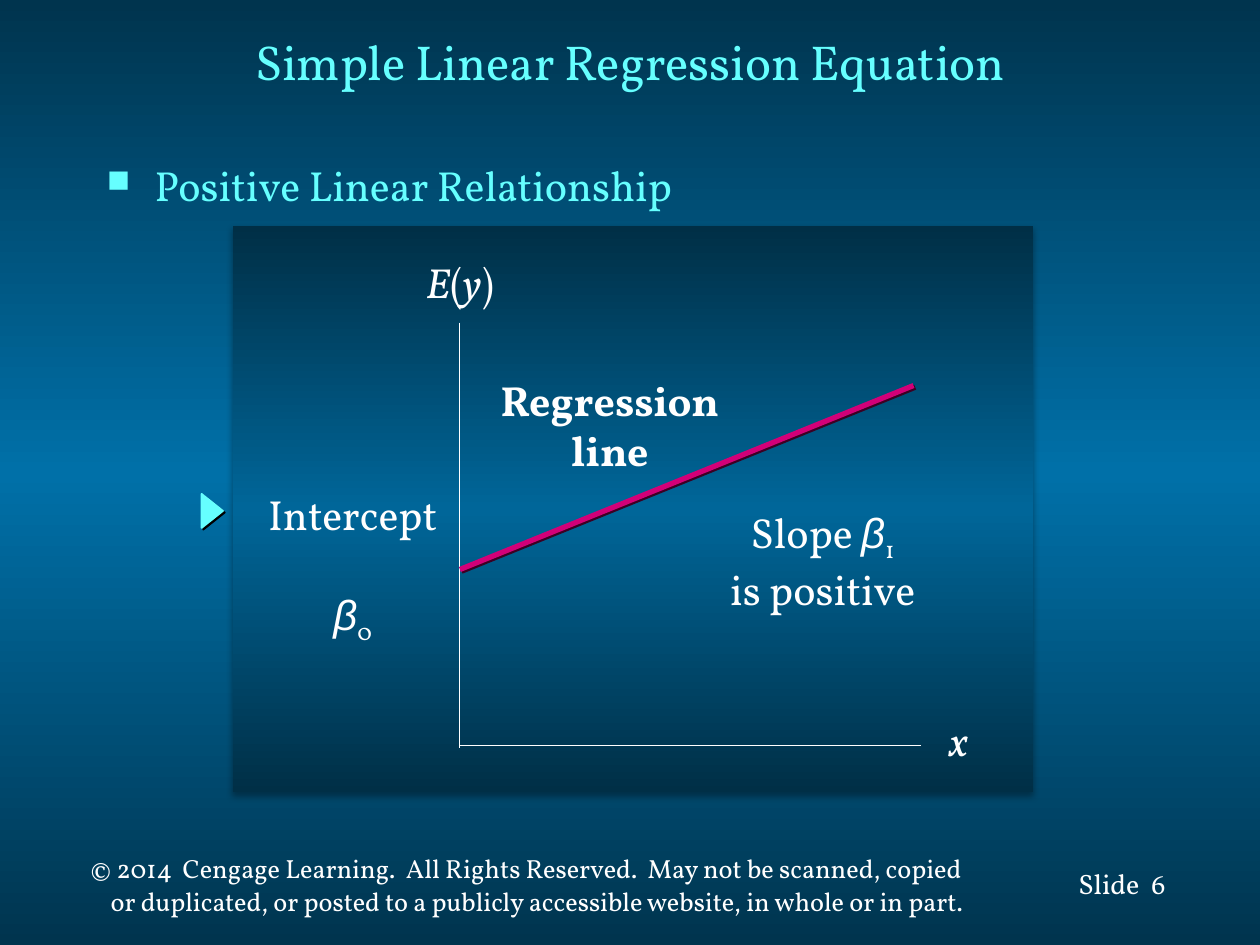
"""Build a slide on the simple linear regression equation with a positive slope."""
from copy import deepcopy
from dataclasses import dataclass

from lxml import etree
from pptx import Presentation
from pptx.dml.color import RGBColor
from pptx.enum.shapes import MSO_CONNECTOR, MSO_SHAPE
from pptx.enum.text import MSO_ANCHOR, PP_ALIGN
from pptx.oxml.ns import qn
from pptx.util import Inches, Pt

RECTANGLE, TRIANGLE = MSO_SHAPE.RECTANGLE, MSO_SHAPE.ISOSCELES_TRIANGLE
STRAIGHT = MSO_CONNECTOR.STRAIGHT
LEFT, CENTER = PP_ALIGN.LEFT, PP_ALIGN.CENTER
TOP, MIDDLE = MSO_ANCHOR.TOP, MSO_ANCHOR.MIDDLE

WHITE = RGBColor(0xFF, 0xFF, 0xFF)
BLACK = RGBColor(0x00, 0x00, 0x00)
CYAN = RGBColor(0x66, 0xFF, 0xFF)
MAGENTA = RGBColor(0xD2, 0x00, 0x78)
PLUM = RGBColor(0x3C, 0x00, 0x23)
BG_EDGE = RGBColor(0x00, 0x34, 0x4E)
BG_MIDDLE = RGBColor(0x00, 0x70, 0xA8)
PANEL_EDGE = RGBColor(0x00, 0x2F, 0x46)
PANEL_MIDDLE = RGBColor(0x00, 0x66, 0x99)

FONT, GREEK = "Vollkorn", "Arial"
COLUMNS, ROWS = 100, 75
CELL = Inches(0.1)


@dataclass(frozen=True)
class Box:
    """A rectangle in grid columns and rows."""
    col: float
    row: float
    cols: float
    rows: float

    def emu(self) -> list[int]:
        """Return left, top, width and height as slide lengths."""
        return [cells(n) for n in (self.col, self.row, self.cols, self.rows)]


@dataclass(frozen=True)
class Run:
    """A piece of text with its own style."""
    text: str
    italic: bool = False
    font: str = FONT
    subscript: bool = False


@dataclass(frozen=True)
class Line:
    """A straight line between two grid points."""
    start: tuple[float, float]
    end: tuple[float, float]
    color: RGBColor = WHITE
    width: float = 0.5
    shadow: RGBColor | None = None


@dataclass(frozen=True)
class Label:
    """A centred label made of paragraphs of runs."""
    box: Box
    paragraphs: list[list[Run]]
    bold: bool = False
    gap: float = 0


ORIGIN_COL, AXIS_ROW = 36.5, 59.2
LINES = [
    Line((ORIGIN_COL, 25.6), (ORIGIN_COL, 59.4)),
    Line((73.1, AXIS_ROW), (ORIGIN_COL, AXIS_ROW)),
    Line((ORIGIN_COL, 45.2), (72.5, 30.6), MAGENTA, 3, PLUM),
]


def beta(index: str) -> list[Run]:
    """Return the runs of a subscripted beta."""
    return [Run("β", True, GREEK), Run(index, subscript=True)]


LABELS = [
    Label(Box(31.5, 19.9, 10, 5), [[Run("E", True), Run("("), Run("y", True), Run(")")]]),
    Label(Box(73.1, 56.2, 6, 5), [[Run("x", True)]]),
    Label(Box(56, 39.7, 18.6, 9), [[Run("Slope "), *beta("1")], [Run("is positive")]]),
    Label(Box(38.4, 29.2, 20, 9), [[Run("Regression")], [Run("line")]], bold=True),
    Label(Box(19, 38.3, 18, 13), [[Run("Intercept")], beta("0")], gap=28),
]


def cells(n: float) -> int:
    """Turn a number of grid cells into a slide length."""
    return round(n * CELL)


def add_gradient(fill, element, edge: RGBColor, middle: RGBColor) -> None:
    """Fill with a vertical gradient from edge through middle to edge."""
    fill.gradient()
    fill.gradient_angle = 90
    stops = next(element.iter(qn("a:gsLst")))
    stops.insert(1, deepcopy(stops[0]))
    for stop, position, color in zip(fill.gradient_stops, (0, 0.5, 1), (edge, middle, edge)):
        stop.position = position
        stop.color.rgb = color


def add_effects(sp, color: RGBColor | None = None, alpha: int = 100, blur: float = 0,
                distance: float = 1.4, angle: int = 45) -> None:
    """Replace the inherited shadow by the given one, or by none."""
    effects = etree.SubElement(sp._element.spPr, qn("a:effectLst"))
    if color is None:
        return
    shadow = etree.SubElement(effects, qn("a:outerShdw"), blurRad=str(Pt(blur)),
                              dist=str(Pt(distance)), dir=str(angle * 60000),
                              algn="ctr", rotWithShape="0")
    rgb = etree.SubElement(shadow, qn("a:srgbClr"), val=str(color))
    etree.SubElement(rgb, qn("a:alpha"), val=str(alpha * 1000))


def add_text(s, box: Box, paragraphs: list[list[Run]], *, size: float = 24,
             color: RGBColor = WHITE, bold: bool = False, align=LEFT, anchor=TOP,
             gap: float = 0, spacing: float | None = None):
    """Add a text box and return its text frame."""
    tf = s.shapes.add_textbox(*box.emu()).text_frame
    tf.word_wrap = True
    tf.vertical_anchor = anchor
    for i, runs in enumerate(paragraphs):
        p = tf.add_paragraph() if i else tf.paragraphs[0]
        p.alignment = align
        if i and gap:
            p.space_before = Pt(gap)
        if spacing:
            p.line_spacing = Pt(spacing)
        for run in runs:
            r = p.add_run()
            r.text = run.text
            r.font.name, r.font.size = run.font, Pt(size)
            r.font.bold, r.font.italic = bold, run.italic
            r.font.color.rgb = color
            if run.subscript:
                r.font._element.set("baseline", "-25000")
    return tf


def set_indent(p, margin: float, first: float = 0) -> None:
    """Set the left margin and first-line indent of a paragraph in cells."""
    properties = p._p.get_or_add_pPr()
    properties.set("marL", str(cells(margin)))
    properties.set("indent", str(cells(first)))


def add_bullet(p, color: RGBColor) -> None:
    """Give a paragraph a small square bullet."""
    set_indent(p, 3.8, -3.8)
    properties = p._p.get_or_add_pPr()
    tint = etree.SubElement(properties, qn("a:buClr"))
    etree.SubElement(tint, qn("a:srgbClr"), val=str(color))
    etree.SubElement(properties, qn("a:buSzPct"), val="75000")
    etree.SubElement(properties, qn("a:buChar"), char="■")


def add_line(s, line: Line) -> None:
    """Draw a straight line."""
    sp = s.shapes.add_connector(STRAIGHT, *map(cells, line.start + line.end))
    sp.line.color.rgb = line.color
    sp.line.width = Pt(line.width)
    add_effects(sp, line.shadow)


def add_panel(s) -> None:
    """Draw the panel behind the graph."""
    sp = s.shapes.add_shape(RECTANGLE, *Box(18.5, 17.9, 63.5, 45).emu())
    add_gradient(sp.fill, sp._element, PANEL_EDGE, PANEL_MIDDLE)
    sp.line.fill.background()
    add_effects(sp, BLACK, 32, 3.5, 2.2, 90)


def add_marker(s) -> None:
    """Draw the triangle that points at the panel."""
    sp = s.shapes.add_shape(TRIANGLE, *Box(15.5, 39.7, 2.7, 1.7).emu())
    sp.rotation = 90
    sp.fill.solid()
    sp.fill.fore_color.rgb = sp.line.color.rgb = CYAN
    sp.line.width = Pt(1)
    add_effects(sp, BLACK)


def main() -> None:
    """Build and save the slide."""
    prs = Presentation()
    prs.slide_width, prs.slide_height = cells(COLUMNS), cells(ROWS)
    s = prs.slides.add_slide(prs.slide_layouts[6])
    add_gradient(s.background.fill, s._element, BG_EDGE, BG_MIDDLE)
    add_text(s, Box(90.4, 68.3, 5, 3.7), [[Run("6")]], size=16)
    add_text(s, Box(84.6, 68.3, 7, 3.7), [[Run("Slide")]], size=16)
    footer = add_text(s, Box(6.2, 67.4, 74.7, 6), [
        [Run("© 2014  Cengage Learning.  All Rights Reserved.  May not be scanned, copied")],
        [Run("or duplicated, or posted to a publicly accessible website, in whole or in part.")],
    ], size=15, gap=3, spacing=16)
    set_indent(footer.paragraphs[1], 1.6)
    add_text(s, Box(7.5, 0.4, 85, 8.9), [[Run("Simple Linear Regression Equation")]],
             size=28, color=CYAN, align=CENTER, anchor=MIDDLE)
    topic = add_text(s, Box(7.5, 12.2, 85, 5), [[Run("Positive Linear Relationship")]], color=CYAN)
    add_bullet(topic.paragraphs[0], CYAN)
    add_panel(s)
    for line in LINES:
        add_line(s, line)
    for label in LABELS:
        add_text(s, label.box, label.paragraphs, bold=label.bold, align=CENTER, gap=label.gap)
    add_marker(s)
    prs.save("out.pptx")


if __name__ == "__main__":
    main()
